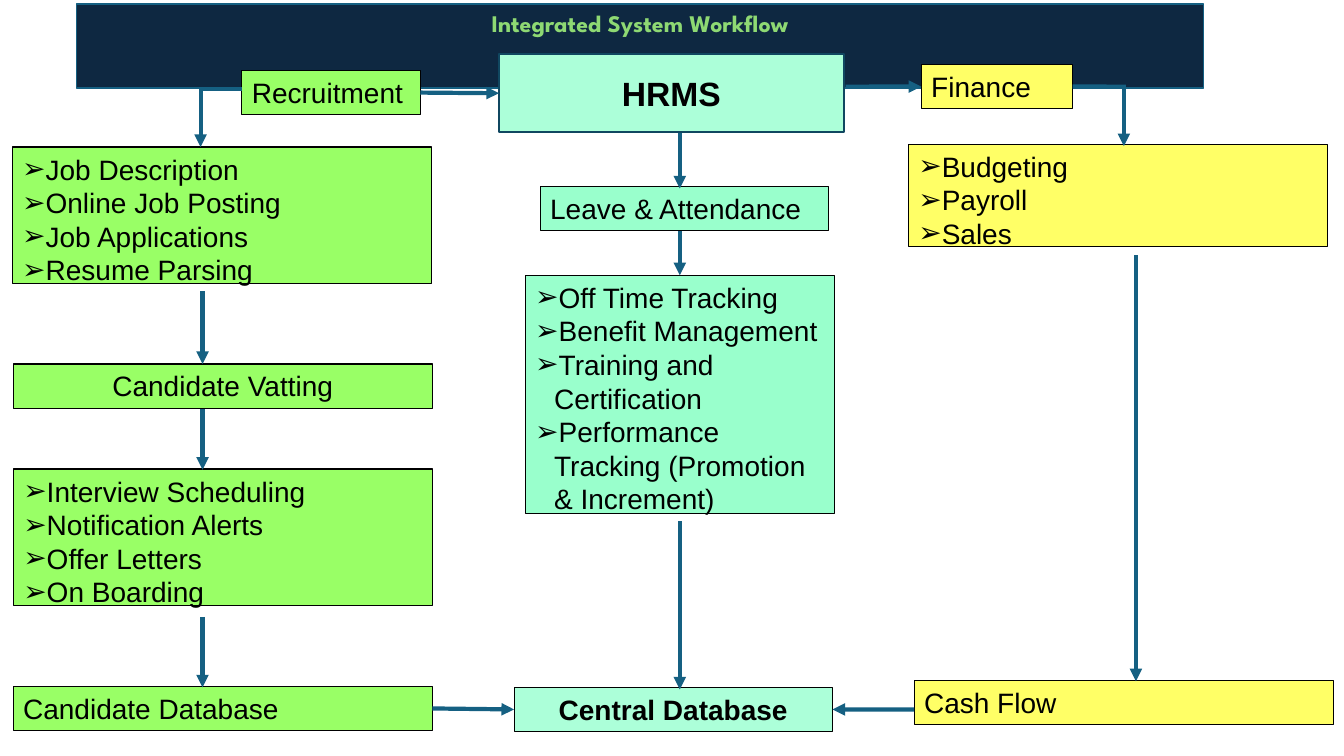
from lxml import etree
from pptx import Presentation
from pptx.dml.color import RGBColor
from pptx.enum.shapes import MSO_CONNECTOR, MSO_SHAPE
from pptx.enum.text import MSO_ANCHOR, MSO_AUTO_SIZE, PP_ALIGN
from pptx.oxml.ns import qn
from pptx.util import Pt

RECTANGLE, STRAIGHT = MSO_SHAPE.RECTANGLE, MSO_CONNECTOR.STRAIGHT
TOP, MIDDLE = MSO_ANCHOR.TOP, MSO_ANCHOR.MIDDLE
LEFT, CENTER = PP_ALIGN.LEFT, PP_ALIGN.CENTER
GROW = MSO_AUTO_SIZE.SHAPE_TO_FIT_TEXT
SITE_TOP, SITE_LEFT, SITE_RIGHT = 0, 1, 3
COMPARISON_LAYOUT = 4
BULLET_INDENT = 13.5
ROW = 31.5
COLUMN = 299.5

COLORS = {
    "navy": "0E2841", "teal": "156082", "dark_teal": "104760",
    "title": "8ED973", "black": "000000", "green": "99FF66",
    "yellow": "FFFF66", "mint": "99FFCC", "pale_mint": "ACFFD9",
}


def rgb(name):
    return RGBColor.from_string(COLORS[name])


def add_bullet(paragraph):
    properties = paragraph._p.get_or_add_pPr()
    properties.set("marL", str(Pt(BULLET_INDENT)))
    properties.set("indent", str(-Pt(BULLET_INDENT)))
    etree.SubElement(properties, qn("a:buFont"), typeface="Arial")
    etree.SubElement(properties, qn("a:buChar"), char="➢")


def write_text(frame, text, size=20, font="Arial", color="black", bold=False,
               align=LEFT, anchor=TOP, bullets=False):
    """Fill a text frame with one paragraph per line of text."""
    frame.word_wrap = True
    frame.auto_size = GROW
    frame.vertical_anchor = anchor
    for index, line in enumerate(text.split("\n")):
        paragraph = frame.add_paragraph() if index else frame.paragraphs[0]
        if bullets:
            add_bullet(paragraph)
        paragraph.alignment = align
        paragraph.space_before = Pt(0)
        run = paragraph.add_run()
        run.text = line
        run.font.size = Pt(size)
        run.font.name = font
        run.font.bold = bold
        run.font.color.rgb = rgb(color)


class WorkflowSlide:
    def __init__(self, presentation):
        layout = presentation.slide_layouts[COMPARISON_LAYOUT]
        self.slide = presentation.slides.add_slide(layout)
        title, *self.bodies = self.slide.placeholders
        self.title_placeholder = title

    def style(self, shape, bounds, fill, line="black", line_width=0.75):
        shape.left, shape.top, shape.width, shape.height = map(Pt, bounds)
        shape.shadow.inherit = False
        shape.fill.solid()
        shape.fill.fore_color.rgb = rgb(fill)
        shape.line.color.rgb = rgb(line)
        shape.line.width = Pt(line_width)

    def title(self, text, bounds):
        shape = self.title_placeholder
        self.style(shape, bounds, "navy", "teal", 1)
        write_text(shape.text_frame, text, size=17, font="League Spartan",
                   color="title", bold=True, align=CENTER)

    def bullet_list(self, text, bounds, fill):
        shape = self.bodies.pop(0)
        self.style(shape, bounds, fill)
        write_text(shape.text_frame, text, bullets=True)
        return shape

    def box(self, text, bounds, fill, line="black", line_width=0.75, **text_format):
        shape = self.slide.shapes.add_shape(RECTANGLE, *map(Pt, bounds))
        self.style(shape, bounds, fill, line, line_width)
        write_text(shape.text_frame, text, **text_format)
        return shape

    def connect(self, start, end, begin_at=None, end_at=None, arrow=True):
        """Draw a line; begin_at and end_at are (shape, site) to join."""
        connector = self.slide.shapes.add_connector(STRAIGHT, *map(Pt, start + end))
        if begin_at:
            connector.begin_connect(*begin_at)
        if end_at:
            connector.end_connect(*end_at)
        connector.line.color.rgb = rgb("teal")
        connector.line.width = Pt(3)
        if arrow:
            etree.SubElement(connector.get_or_add_ln(), qn("a:tailEnd"), type="triangle")
        etree.SubElement(connector._element.spPr, qn("a:effectLst"))


def build_slide(presentation):
    page = WorkflowSlide(presentation)
    page.title("Integrated System Workflow", (54.7, 2.9, 805, 28.1))

    # Recruitment column
    recruitment = page.box("Recruitment", (172.8, 50.4, 127.4, ROW), "green")
    page.bullet_list("Job Description\nOnline Job Posting\nJob Applications\nResume Parsing",
                     (8.6, 105, COLUMN, 104.4), "green")
    page.box("Candidate Vatting", (9.4, 260, COLUMN, ROW), "green", align=CENTER)
    page.bullet_list("Interview Scheduling\nNotification Alerts\nOffer Letters\nOn Boarding",
                     (9.4, 335, COLUMN, 104.4), "green")
    candidates = page.box("Candidate Database", (9.4, 490.3, COLUMN, ROW), "green")

    # HRMS column
    hrms = page.box("HRMS", (356.4, 38.9, 246.2, 55.4), "pale_mint", "dark_teal", 1.5,
                    size=24, bold=True, align=CENTER, anchor=MIDDLE)
    page.box("Leave & Attendance", (385.9, 133.2, 205.9, ROW), "mint")
    tracking = page.bullet_list(
        "Off Time Tracking\nBenefit Management\nTraining and Certification\n"
        "Performance Tracking (Promotion & Increment)",
        (375.1, 196.6, 221, 177.1), "mint")
    central = page.box("Central Database", (367.2, 491, 227.5, ROW), "pale_mint",
                       bold=True, align=CENTER)

    # Finance column
    finance = page.box("Finance", (658.1, 46.1, 108, ROW), "yellow")
    page.bullet_list("Budgeting\nPayroll\nSales", (648.7, 103, COLUMN, 80), "yellow")
    page.box("Cash Flow", (653, 486, COLUMN, ROW), "yellow")

    # Vertical flow: x, top, bottom
    for x, top, bottom in (
        (143.3, 62, 105), (144.7, 208, 260), (144.7, 292.3, 335.5),
        (144.7, 440.6, 491), (485.6, 95, 134.6), (485.6, 372.2, 492.5),
        (802.8, 62, 104.4), (811.4, 182.2, 486.7),
    ):
        page.connect((x, top), (x, bottom))
    page.connect((485.6, 164.9), (485.6, 196.6), end_at=(tracking, SITE_TOP))

    # Horizontal flow
    page.connect((144.7, 63.4), (172.8, 63.4), arrow=False)
    page.connect((300.2, 66.2), (356.4, 66.6), (recruitment, SITE_RIGHT), (hrms, SITE_LEFT))
    page.connect((604, 61.9), (658.1, 61.9), end_at=(finance, SITE_LEFT))
    page.connect((766.1, 61.9), (804.2, 61.9), (finance, SITE_RIGHT), arrow=False)
    page.connect((308.9, 506), (367.2, 506.8), (candidates, SITE_RIGHT), (central, SITE_LEFT))
    page.connect((653, 506.8), (594.7, 506.8), end_at=(central, SITE_RIGHT))


def main():
    presentation = Presentation()
    presentation.slide_width, presentation.slide_height = Pt(960), Pt(540)
    build_slide(presentation)
    presentation.save("out.pptx")


if __name__ == "__main__":
    main()
